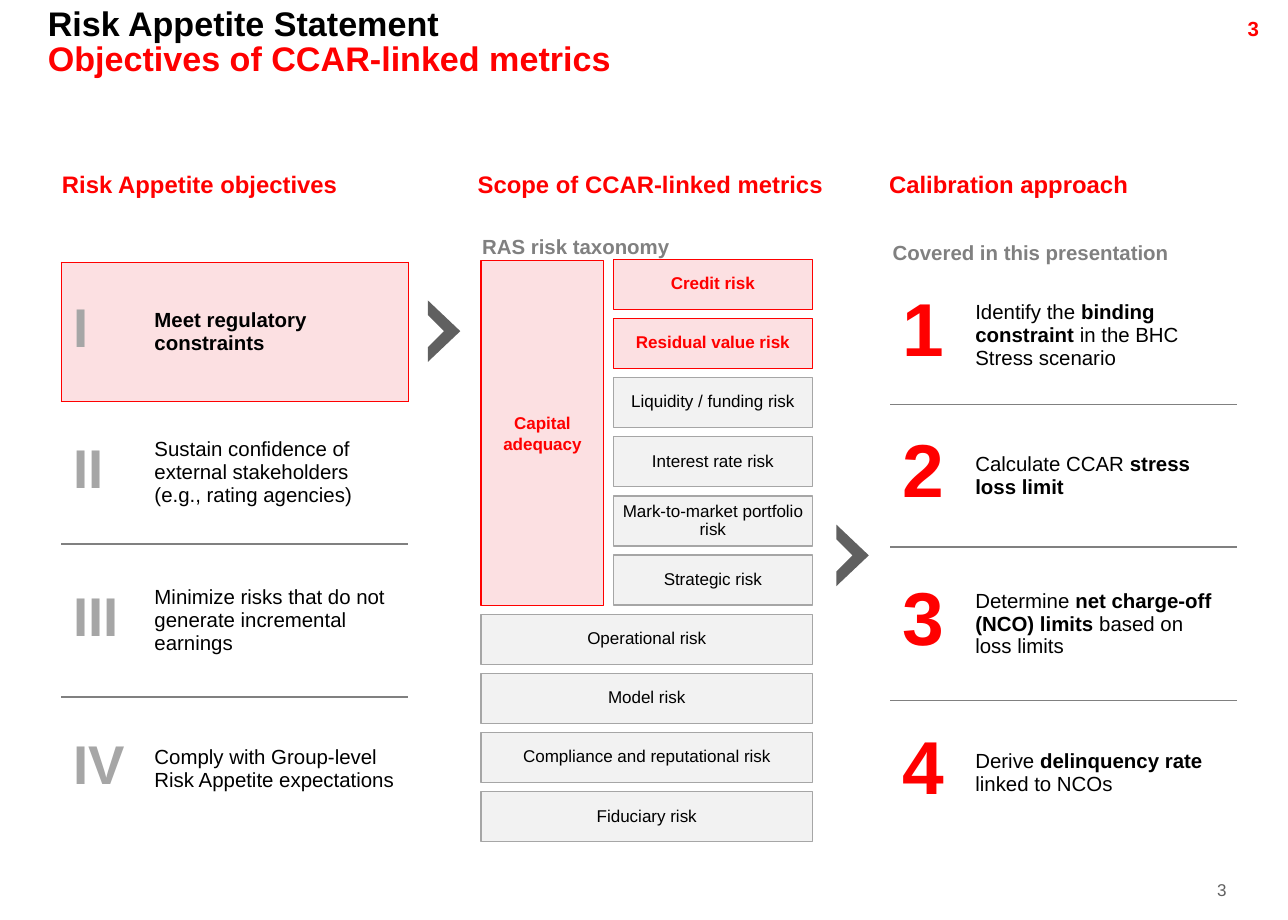
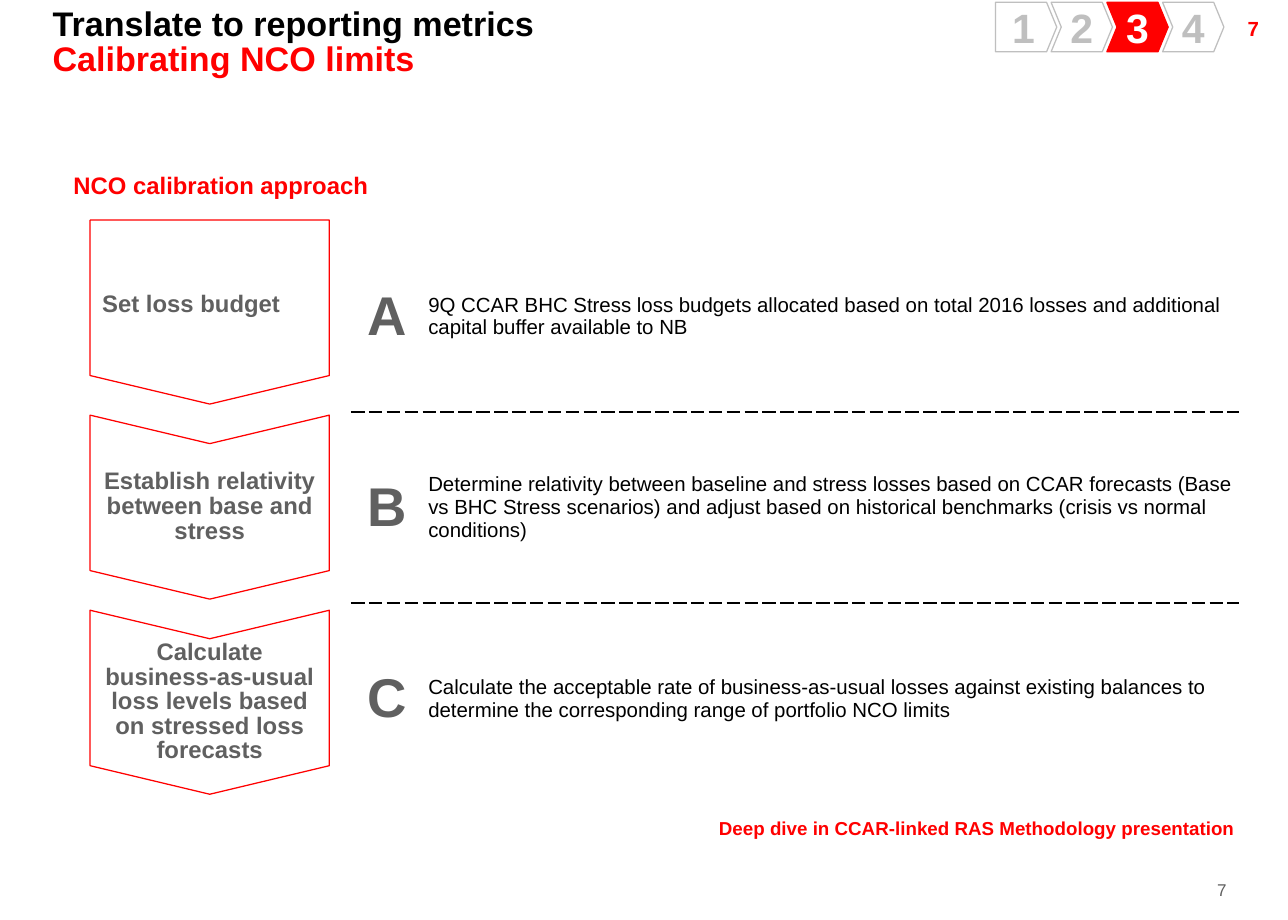
from typing import NamedTuple, Optional

from lxml import etree
from pptx import Presentation
from pptx.dml.color import RGBColor
from pptx.enum.shapes import MSO_SHAPE
from pptx.enum.text import MSO_ANCHOR, PP_ALIGN
from pptx.oxml.ns import qn
from pptx.util import Pt

LEFT, CENTER, RIGHT = PP_ALIGN.LEFT, PP_ALIGN.CENTER, PP_ALIGN.RIGHT
TOP, MIDDLE, BOTTOM = MSO_ANCHOR.TOP, MSO_ANCHOR.MIDDLE, MSO_ANCHOR.BOTTOM
RECT, PENTAGON, CHEVRON = MSO_SHAPE.RECTANGLE, MSO_SHAPE.PENTAGON, MSO_SHAPE.CHEVRON

FONT = "Arial"
RED, PINK, BLACK, WHITE = "FF0000", "FCE0E2", "000000", "FFFFFF"
DARK, MID, SOFT, PALE, MIST = "606060", "808080", "A6A6A6", "BFBFBF", "F2F2F2"
TIGHT = 0.86


class Style(NamedTuple):
    size: float
    color: str = BLACK
    bold: bool = False
    align: PP_ALIGN = LEFT
    spacing: float = 1.0


class Box(NamedTuple):
    x: float
    y: float
    w: float
    h: float


class Rule(NamedTuple):
    color: str
    dash: str = "solid"


class Grid(NamedTuple):
    x: float
    y: float
    widths: list[float]
    heights: list[float]
    rule: Rule
    first_col: int = 0
    inset: Optional[float] = None
    highlight: bool = False


class Risk(NamedTuple):
    text: str
    wide: bool = False
    hot: bool = False


class Step(NamedTuple):
    text: str
    kind: MSO_SHAPE
    align: PP_ALIGN
    inset: float


TITLE = Style(20, BLACK, True, spacing=TIGHT)
HEADING = Style(14, RED, True, spacing=TIGHT)
SUBHEADING = Style(12, MID, True)
BODY = Style(12)

OBJECTIVES = [
    ("I", "|Meet regulatory constraints"),
    ("II", "Sustain confidence of external stakeholders (e.g., rating agencies)"),
    ("III", "Minimize risks that do not generate incremental earnings"),
    ("IV", "Comply with Group-level Risk Appetite expectations"),
]
APPROACH = [
    ("1", "Identify the |binding constraint| in the BHC Stress scenario"),
    ("2", "Calculate CCAR |stress loss limit"),
    ("3", "Determine |net charge-off (NCO) limits |based on loss limits"),
    ("4", "Derive |delinquency rate |linked to NCOs"),
]
RISKS = [
    Risk("Credit risk", hot=True),
    Risk("Residual value risk", hot=True),
    Risk("Liquidity / funding risk"),
    Risk("Interest rate risk"),
    Risk("Mark-to-market portfolio risk"),
    Risk("Strategic risk"),
    Risk("Operational risk", wide=True),
    Risk("Model risk", wide=True),
    Risk("Compliance and reputational risk", wide=True),
    Risk("Fiduciary risk", wide=True),
]
STEPS = [
    Step("Set loss budget", PENTAGON, LEFT, 3.6),
    Step("Establish relativity between base and stress", CHEVRON, CENTER, 7.2),
    Step("Calculate business-as-usual loss levels based on stressed loss forecasts",
         CHEVRON, CENTER, 7.2),
]
DETAILS = [
    ("A", "9Q CCAR BHC Stress loss budgets allocated based on total 2016 losses "
          "and additional capital buffer available to NB"),
    ("B", "Determine relativity between baseline and stress losses based on CCAR "
          "forecasts (Base vs BHC Stress scenarios) and adjust based on historical "
          "benchmarks (crisis vs normal conditions)"),
    ("C", "Calculate the acceptable rate of business-as-usual losses against existing "
          "balances to determine the corresponding range of portfolio NCO limits"),
]


def rgb(color: str) -> RGBColor:
    return RGBColor.from_string(color)


def write(p, text: str, style: Style) -> None:
    """Fill a paragraph; pieces after every odd '|' are bold."""
    p.alignment, p.line_spacing = style.align, style.spacing
    p.font.name, p.font.size = FONT, Pt(style.size)
    p.font.color.rgb, p.font.bold = rgb(style.color), style.bold
    for i, piece in enumerate(text.split("|")):
        if piece:
            r = p.add_run()
            r.text = piece
            if i % 2:
                r.font.bold = True


def set_insets(target, x: float, y: float) -> None:
    target.margin_left = target.margin_right = Pt(x)
    target.margin_top = target.margin_bottom = Pt(y)


def add_text(slide, box: Box, lines: list[tuple[str, Style]], inset: bool = True,
             anchor: MSO_ANCHOR = TOP) -> None:
    tf = slide.shapes.add_textbox(*map(Pt, box)).text_frame
    tf.word_wrap, tf.vertical_anchor = True, anchor
    if not inset:
        set_insets(tf, 0, 0)
    for i, (text, style) in enumerate(lines):
        write(tf.add_paragraph() if i else tf.paragraphs[0], text, style)


def add_box(slide, kind: MSO_SHAPE, box: Box, fill: str, line: str, text: str,
            style: Style, inset: float):
    sp = slide.shapes.add_shape(kind, *map(Pt, box))
    sp.shadow.inherit = False
    sp.fill.solid()
    sp.fill.fore_color.rgb = rgb(fill)
    sp.line.color.rgb, sp.line.width = rgb(line), Pt(0.75)
    tf = sp.text_frame
    tf.word_wrap, tf.vertical_anchor = True, MIDDLE
    set_insets(tf, inset, inset)
    write(tf.paragraphs[0], text, style)
    return sp


def add_arrow(slide, x: float, y: float) -> None:
    outline = [(0, 8.6), (9.4, 18), (0, 27.4), (0, 36), (19, 18)]
    builder = slide.shapes.build_freeform(Pt(x), Pt(y))
    builder.add_line_segments([(Pt(x + dx), Pt(y + dy)) for dx, dy in outline])
    sp = builder.convert_to_shape()
    sp.shadow.inherit = False
    sp.fill.solid()
    sp.fill.fore_color.rgb = rgb(DARK)
    sp.line.fill.background()


def set_borders(cell, rules: dict[str, Rule]) -> None:
    """Draw the named sides (L, R, T, B) and clear the others."""
    tc_pr = cell._tc.get_or_add_tcPr()
    for i, side in enumerate("LRTB"):
        ln = etree.Element(qn(f"a:ln{side}"), w=str(Pt(1)))
        rule = rules.get(side)
        if rule:
            fill = etree.SubElement(ln, qn("a:solidFill"))
            etree.SubElement(fill, qn("a:srgbClr"), val=rule.color)
            etree.SubElement(ln, qn("a:prstDash"), val=rule.dash)
        else:
            etree.SubElement(ln, qn("a:noFill"))
        tc_pr.insert(i, ln)


def cell_rules(grid: Grid, row: int, col: int) -> dict[str, Rule]:
    if col < grid.first_col:
        return {}
    red = Rule(RED)
    rules = {}
    if row:
        rules["T"] = red if grid.highlight and row == 1 else grid.rule
    if row < len(grid.heights) - 1:
        rules["B"] = grid.rule
    if grid.highlight and row == 0:
        rules.update(T=red, B=red)
        rules["R" if col else "L"] = red
    return rules


def add_grid(slide, grid: Grid, rows: list[tuple[str, str]], mark: Style):
    """Table of a large mark and its text, ruled between rows."""
    box = Box(grid.x, grid.y, sum(grid.widths), sum(grid.heights))
    table = slide.shapes.add_table(len(rows), len(grid.widths), *map(Pt, box)).table
    table.first_row = table.horz_banding = False
    for column, width in zip(table.columns, grid.widths):
        column.width = Pt(width)
    for row, (pair, height) in enumerate(zip(rows, grid.heights)):
        table.rows[row].height = Pt(height)
        for col in range(len(grid.widths)):
            cell = table.cell(row, col)
            cell.vertical_anchor = MIDDLE
            if grid.inset is not None:
                set_insets(cell, grid.inset, grid.inset)
            if grid.highlight and row == 0:
                cell.fill.solid()
                cell.fill.fore_color.rgb = rgb(PINK)
            else:
                cell.fill.background()
            set_borders(cell, cell_rules(grid, row, col))
            if col >= grid.first_col:
                i = col - grid.first_col
                write(cell.text_frame.paragraphs[0], pair[i], (mark, BODY)[i])
    return table


def add_slide(prs, number: str, x: float, title: str, subtitle: str):
    """Slide with its two-line title and both page numbers."""
    slide = prs.slides.add_slide(prs.slide_layouts[6])
    add_text(slide, Box(690, 515.5, 30, 12.5),
             [(number, Style(10, DARK, align=RIGHT))], inset=False, anchor=BOTTOM)
    add_text(slide, Box(674, 8, 72, 17), [(number, Style(12, RED, True, RIGHT, TIGHT))])
    add_text(slide, Box(x, 1.4, 640, 49),
             [(title, TITLE), (subtitle, TITLE._replace(color=RED))])
    return slide


def add_taxonomy(slide) -> None:
    left, top, pitch, height = 282.4, 152.2, 34.72, 29.4
    add_box(slide, RECT, Box(left, top + 0.8, 72, 202.3), PINK, RED,
            "Capital adequacy", Style(10, RED, True, CENTER), 2.9)
    for i, risk in enumerate(RISKS):
        x, w = (left, 194.4) if risk.wide else (360, 116.8)
        fill, line, ink = (PINK, RED, RED) if risk.hot else (MIST, SOFT, BLACK)
        add_box(slide, RECT, Box(x, top + i * pitch, w, height), fill, line,
                risk.text, Style(10, ink, risk.hot, CENTER, TIGHT), 2.9)


def build_objectives(prs) -> None:
    slide = add_slide(prs, "3", 21, "Risk Appetite Statement",
                      "Objectives of CCAR-linked metrics")
    for x, heading in [(29.3, "Risk Appetite objectives"),
                       (273.3, "Scope of CCAR-linked metrics"),
                       (514.8, "Calibration approach")]:
        add_text(slide, Box(x, 98.6, 227.5, 21.6), [(heading, HEADING)])
    for x, y, label in [(283, 137.5, "RAS risk taxonomy"),
                        (524, 141, "Covered in this presentation")]:
        add_text(slide, Box(x, y, 194.4, 16), [(label, SUBHEADING)], inset=False)
    heights = [81.5, 83.7, 90, 84.4]
    add_grid(slide, Grid(36, 154, [47.5, 156.3], heights, Rule(MID), highlight=True),
             OBJECTIVES, Style(32, SOFT, True, spacing=TIGHT))
    add_grid(slide, Grid(522.5, 156, [42.8, 161], heights, Rule(MID)),
             APPROACH, Style(44, RED, True, spacing=TIGHT))
    add_taxonomy(slide)
    add_arrow(slide, 251.2, 176.4)
    add_arrow(slide, 491, 308)


def add_tracker(slide, current: int) -> None:
    for i in range(4):
        active = i + 1 == current
        sp = add_box(slide, CHEVRON if i else PENTAGON, Box(584.3 + i * 32.7, 1.4, 36, 29),
                     RED if active else WHITE, RED if active else PALE, str(i + 1),
                     Style(24, WHITE if active else PALE, True, CENTER), 0)
        sp.adjustments[0] = 0.206


def build_calibration(prs) -> None:
    slide = add_slide(prs, "7", 23.8, "Translate to reporting metrics",
                      "Calibrating NCO limits")
    add_tracker(slide, 3)
    add_text(slide, Box(36, 98.9, 345, 21.6), [("NCO calibration approach", HEADING)])
    grid = Grid(36, 129.6, [170, 42.5, 478.8], [112.2] * 3, Rule(BLACK, "dash"),
                first_col=1, inset=2.9)
    table = add_grid(slide, grid, DETAILS, Style(32, DARK, True, CENTER))
    table.cell(0, 0).merge(table.cell(1, 0))
    for i, step in enumerate(STEPS):
        sp = add_box(slide, step.kind, Box(69.1, 113 + i * 114.5, 108, 140.4), WHITE, RED,
                     step.text, Style(14, DARK, True, step.align, TIGHT), step.inset)
        sp.adjustments[0] = 0.155
        sp.rotation = 90
        sp.element.txBody.bodyPr.set("vert", "vert270")
    add_text(slide, Box(422, 479.5, 312, 14),
             [("Deep dive in CCAR-linked RAS Methodology presentation",
               Style(11, RED, True))], inset=False)


def main() -> None:
    prs = Presentation()
    prs.slide_width, prs.slide_height = Pt(756), Pt(540)
    build_objectives(prs)
    build_calibration(prs)
    prs.save("out.pptx")


if __name__ == "__main__":
    main()
